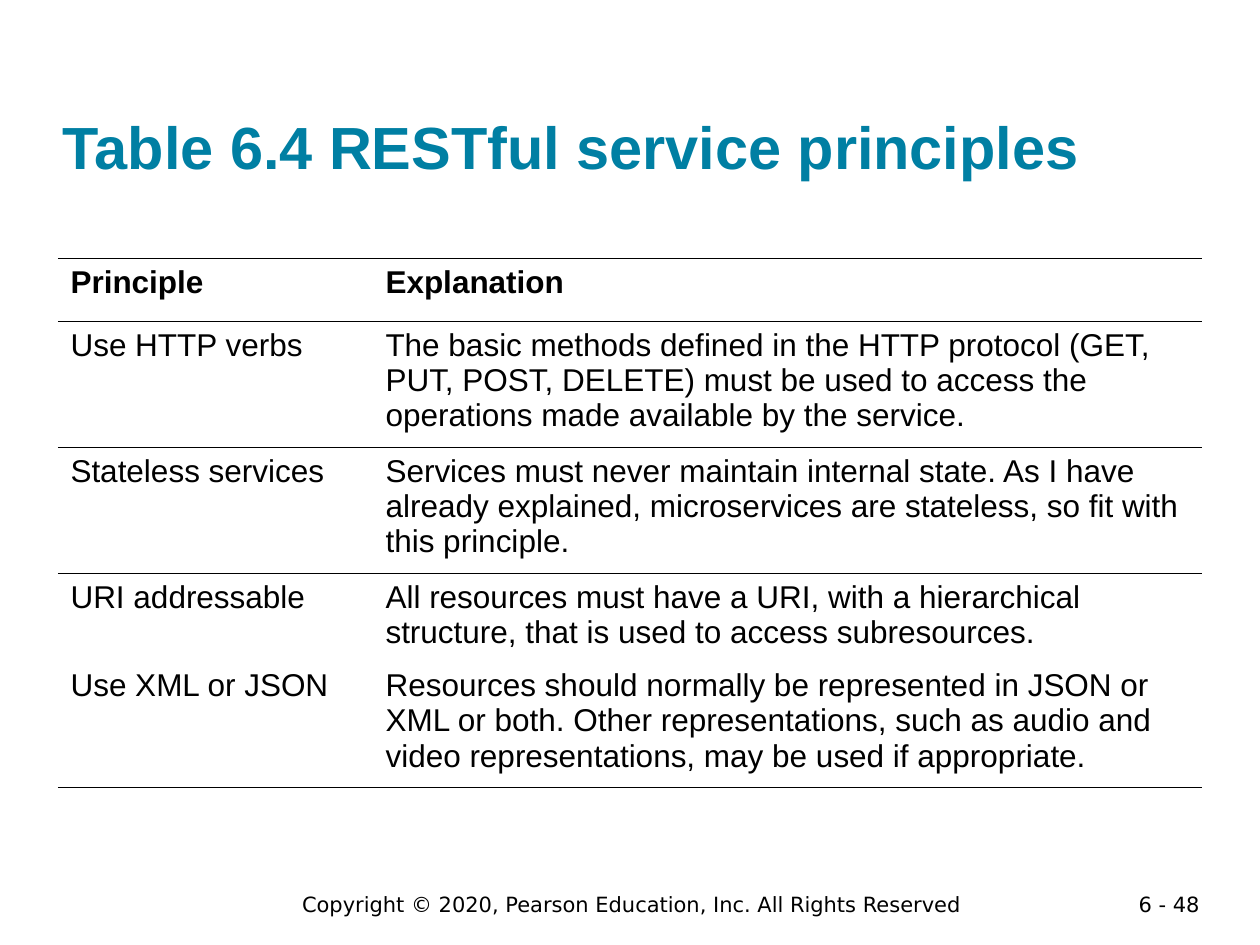
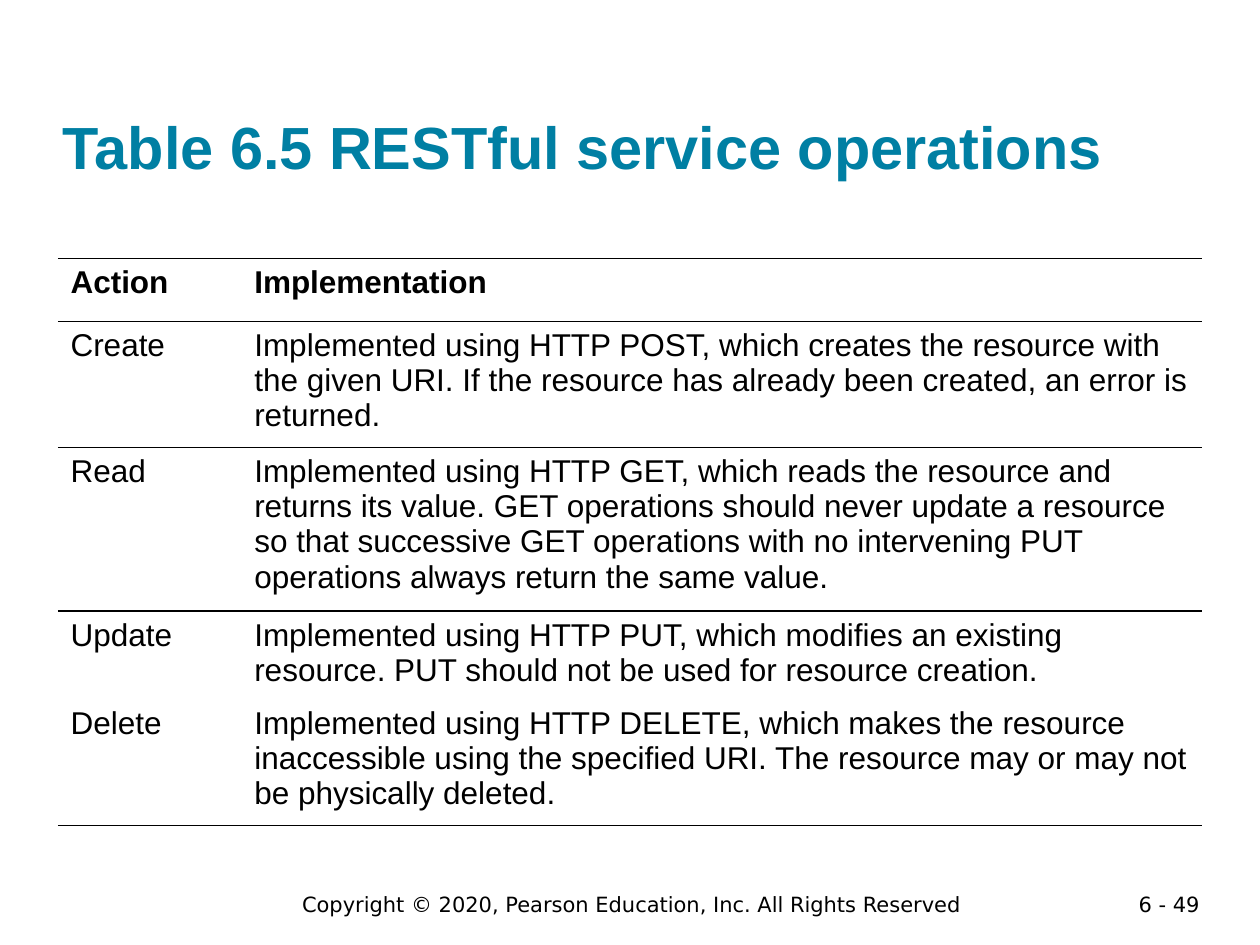
from dataclasses import dataclass

from lxml import etree
from pptx import Presentation
from pptx import util as u
from pptx.dml.color import RGBColor
from pptx.enum import text
from pptx.oxml import ns

Pt = u.Pt


@dataclass(frozen=True)
class Theme:
    title_color: str = "007FA3"
    ink: str = "000000"
    body_font: str = "Arial"
    footer_font: str = "DejaVu Sans"
    title_size: float = 34
    table_size: float = 18
    footer_size: float = 12
    rule_width: float = 1


THEME = Theme()

# Boxes as left, top, width, height in points
SLIDE_SIZE = (720, 540)
TITLE_BOX = (36, 17.28, 648, 86.4)
COPYRIGHT_BOX = (118, 506, 486, 21.6)
NUMBER_BOX = (620.6, 506, 72, 16)
HEADER_HEIGHT, ROW_HEIGHT = 36, 29.5
PLAIN_STYLE = "{2D5ABB26-0587-4C30-8999-92F81FD0307C}"

COPYRIGHT = "Copyright © 2020, Pearson Education, Inc. All Rights Reserved"
CHAPTER = 6

TABLES = [
    {
        "title": "Table 6.4 RESTful service principles",
        "number": 48,
        "box": (33.12, 147.6, 653.76, 302.4),
        "first_column": 180,
        "rows": [
            ("Principle", "Explanation"),
            ("Use HTTP verbs",
             "The basic methods defined in the HTTP protocol (GET, PUT, POST, DELETE) "
             "must be used to access the operations made available by the service."),
            ("Stateless services",
             "Services must never maintain internal state. As I have already explained, "
             "microservices are stateless, so fit with this principle."),
            ("URI addressable",
             "All resources must have a URI, with a hierarchical structure, that is used "
             "to access subresources."),
            ("Use XML or JSON",
             "Resources should normally be represented in JSON or XML or both. Other "
             "representations, such as audio and video representations, may be used if "
             "appropriate."),
        ],
    },
    {
        "title": "Table 6.5 RESTful service operations",
        "number": 49,
        "box": (33.12, 147.6, 653.76, 324),
        "first_column": 105,
        "rows": [
            ("Action", "Implementation"),
            ("Create",
             "Implemented using HTTP POST, which creates the resource with the given URI. "
             "If the resource has already been created, an error is returned."),
            ("Read",
             "Implemented using HTTP GET, which reads the resource and returns its value. "
             "GET operations should never update a resource so that successive GET "
             "operations with no intervening PUT operations always return the same value."),
            ("Update",
             "Implemented using HTTP PUT, which modifies an existing resource. PUT should "
             "not be used for resource creation."),
            ("Delete",
             "Implemented using HTTP DELETE, which makes the resource inaccessible using "
             "the specified URI. The resource may or may not be physically deleted."),
        ],
    },
]


def style_paragraph(paragraph, font_name, size, color, bold=False):
    font = paragraph.font
    font.name, font.size, font.bold = font_name, Pt(size), bold
    font.color.rgb = RGBColor.from_string(color)


def add_text(slide, box, words, alignment=text.PP_ALIGN.LEFT, **style):
    shape = slide.shapes.add_textbox(*map(Pt, box))
    frame = shape.text_frame
    frame.word_wrap = True
    frame.text = words
    paragraph = frame.paragraphs[0]
    paragraph.alignment = alignment
    style_paragraph(paragraph, **style)
    return frame


def add_title(slide, box, words):
    frame = add_text(slide, box, words, font_name=THEME.body_font,
                     size=THEME.title_size, color=THEME.title_color, bold=True)
    frame.vertical_anchor = text.MSO_ANCHOR.BOTTOM
    frame.margin_left = frame.margin_right = frame.margin_top = frame.margin_bottom = 0


def add_footer(slide, number):
    style = dict(font_name=THEME.footer_font, size=THEME.footer_size, color=THEME.ink)
    add_text(slide, NUMBER_BOX, f"{CHAPTER} - {number}", text.PP_ALIGN.RIGHT, **style)
    add_text(slide, COPYRIGHT_BOX, COPYRIGHT, text.PP_ALIGN.CENTER, **style)


def add_rule(cell, side):
    """Draw one cell border; side is lnT or lnB."""
    properties = cell._tc.get_or_add_tcPr()
    line = etree.SubElement(properties, ns.qn(f"a:{side}"), w=str(Pt(THEME.rule_width)))
    fill = etree.SubElement(line, ns.qn("a:solidFill"))
    etree.SubElement(fill, ns.qn("a:srgbClr"), val=THEME.ink)


def add_ruled_table(slide, box, first_column, rows):
    shape = slide.shapes.add_table(len(rows), 2, *map(Pt, box))
    table = shape.table
    table.first_row = table.horz_banding = False
    table._tbl.tblPr.find(ns.qn("a:tableStyleId")).text = PLAIN_STYLE
    table.columns[0].width = Pt(first_column)
    table.columns[1].width = Pt(box[2] - first_column)

    # Rules frame the header, follow the first entry and close the table
    ruled_below = {0, 1, len(rows) - 1}
    for row_index, row in enumerate(rows):
        is_header = row_index == 0
        table.rows[row_index].height = Pt(HEADER_HEIGHT if is_header else ROW_HEIGHT)
        for column_index, words in enumerate(row):
            cell = table.cell(row_index, column_index)
            cell.text = words
            style_paragraph(cell.text_frame.paragraphs[0], THEME.body_font,
                            THEME.table_size, THEME.ink, bold=is_header)
            if is_header or row_index - 1 in ruled_below:
                add_rule(cell, "lnT")
            if row_index in ruled_below:
                add_rule(cell, "lnB")
            cell.fill.background()
    shape.height = Pt(box[3])


def add_table_slide(presentation, title, number, box, first_column, rows):
    slide = presentation.slides.add_slide(presentation.slide_layouts[6])
    add_footer(slide, number)
    add_ruled_table(slide, box, first_column, rows)
    add_title(slide, TITLE_BOX, title)


def main():
    presentation = Presentation()
    presentation.slide_width, presentation.slide_height = map(Pt, SLIDE_SIZE)
    for content in TABLES:
        add_table_slide(presentation, **content)
    presentation.save("out.pptx")


if __name__ == "__main__":
    main()
